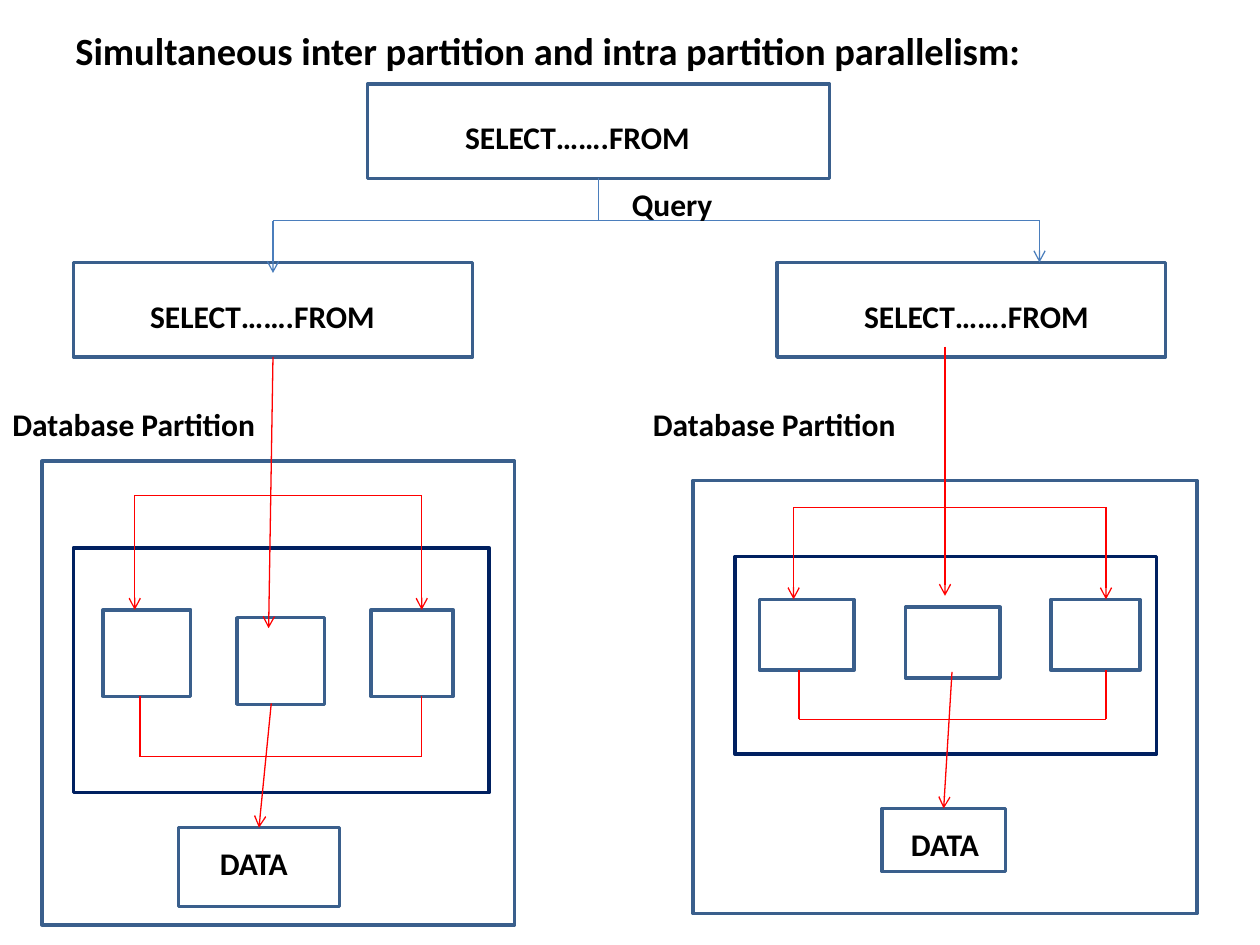
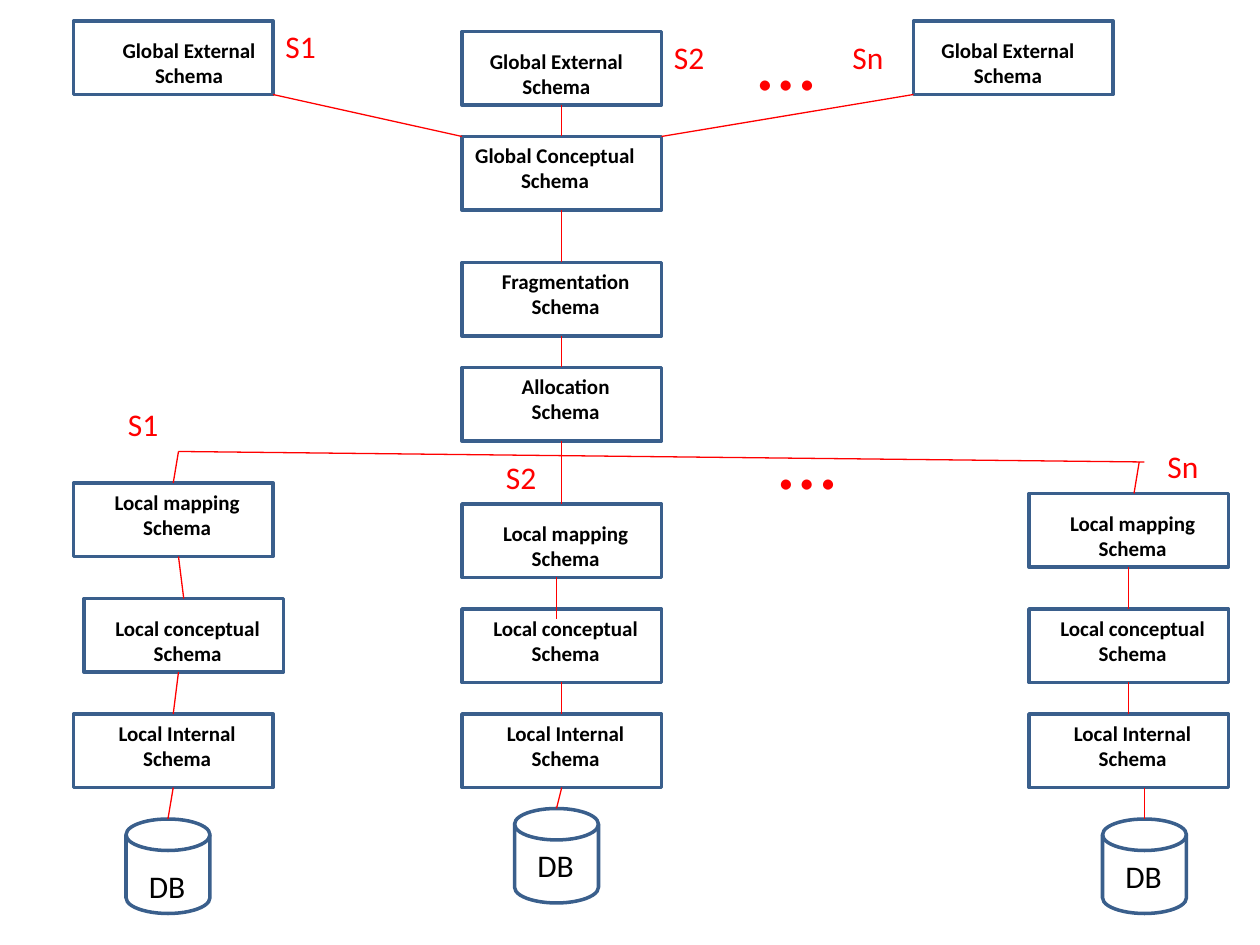
from dataclasses import dataclass

from lxml import etree
from pptx import Presentation
from pptx.dml import color as dml
from pptx.enum import shapes, text
from pptx.oxml import ns
from pptx.util import Pt

COLORS = {
    "outline": "3A5F8C",
    "engine": "002060",
    "query": "4B7EBC",
    "flow": "FF0000",
    "ink": "000000",
}
FONT = "Calibri"
TOP, BOTTOM = 0, 2
INSET_X, INSET_Y = 7.2, 3.6
SCHEMA_WIDTH, SCHEMA_HEIGHT = 114, 42


@dataclass
class Partition:
    caption: tuple
    frame: tuple
    engine: tuple
    workers: tuple
    worker_top: float
    worker_height: float
    bus: tuple
    bus_top: float
    return_top: float
    feed: tuple
    output: tuple
    data: tuple
    data_text: tuple


def rgb(name):
    return dml.RGBColor.from_string(COLORS[name])


def write(frame, caption, size, bold, color, align):
    frame.word_wrap = True
    frame.vertical_anchor = text.MSO_ANCHOR.TOP
    frame.text = caption
    for para in frame.paragraphs:
        para.alignment = align
        for span in para.runs:
            span.font.name = FONT
            span.font.size = Pt(size)
            span.font.bold = bold
            span.font.color.rgb = rgb(color)


def add_label(page, caption, left, top, width=72, height=29,
              size=18, bold=False, color="ink"):
    box = page.shapes.add_textbox(Pt(left), Pt(top), Pt(width), Pt(height))
    write(box.text_frame, caption, size, bold, color, text.PP_ALIGN.LEFT)


def add_box(page, left, top, width, height, color="outline",
            kind=shapes.MSO_SHAPE.RECTANGLE):
    box = page.shapes.add_shape(kind, Pt(left), Pt(top), Pt(width), Pt(height))
    box.shadow.inherit = False
    box.fill.background()
    box.line.color.rgb = rgb(color)
    box.line.width = Pt(2)
    return box


def add_text_box(page, bounds, caption, shift, drop, text_width, size=18):
    box = add_box(page, *bounds)
    frame = box.text_frame
    frame.margin_left = Pt(shift + INSET_X)
    frame.margin_right = Pt(bounds[2] - shift - text_width + INSET_X)
    frame.margin_top = Pt(drop + INSET_Y)
    frame.margin_bottom = 0
    write(frame, caption, size, True, "ink", text.PP_ALIGN.CENTER)
    return box


def add_line(page, start, end, color="flow", arrow=False):
    joined = [not isinstance(point[0], (int, float)) for point in (start, end)]
    x1, y1 = (0, 0) if joined[0] else start
    x2, y2 = (0, 0) if joined[1] else end
    line = page.shapes.add_connector(
        shapes.MSO_CONNECTOR.STRAIGHT, Pt(x1), Pt(y1), Pt(x2), Pt(y2))
    if joined[0]:
        line.begin_connect(*start)
    if joined[1]:
        line.end_connect(*end)
    line.line.color.rgb = rgb(color)
    line.line.width = Pt(0.75)
    if arrow:
        stroke = line.line._get_or_add_ln()
        etree.SubElement(stroke, ns.qn("a:tailEnd"), type="arrow")
    etree.SubElement(line._element.spPr, ns.qn("a:effectLst"))


def add_select(page, left, top, width, shift):
    bounds = (left, top, width, 54)
    return add_text_box(page, bounds, "SELECT…….FROM", shift, 16, 180)


def add_partition(page, part):
    add_label(page, "Database Partition", *part.caption, width=180, bold=True)
    add_box(page, *part.frame)
    add_box(page, *part.engine, color="engine")
    for number, (left, width) in enumerate(part.workers):
        drop = 4.5 if number == 1 else 0
        add_box(page, left, part.worker_top + drop, width, part.worker_height)
    data = add_text_box(page, part.data, "DATA", *part.data_text)

    left, right = part.bus
    add_line(page, (left, part.bus_top), (right, part.bus_top))
    for x in part.bus:
        add_line(page, (x, part.bus_top), (x, part.worker_top), arrow=True)
    worker_bottom = part.worker_top + part.worker_height
    add_line(page, (left + 3, part.return_top), (right, part.return_top))
    for x in (left + 3, right):
        add_line(page, (x, worker_bottom), (x, part.return_top))
    add_line(page, *part.feed, arrow=True)
    add_line(page, part.output, (data, TOP), arrow=True)


def add_schema(page, caption, left, top, shift=6, drop=0, text_width=106.5):
    bounds = (left, top, SCHEMA_WIDTH, SCHEMA_HEIGHT)
    return add_text_box(page, bounds, caption, shift, drop, text_width, 12)


def add_database(page, left, top, drop):
    add_box(page, left, top, 48, 54,
            kind=shapes.MSO_SHAPE.FLOWCHART_MAGNETIC_DISK)
    add_label(page, "DB", left + 6, top + drop)


def build_parallelism(page):
    add_label(page, "Simultaneous inter partition and intra partition parallelism:",
              36, 12, 648, 34, size=22, bold=True)
    query = add_select(page, 210, 48, 264, 30)
    left_select = add_select(page, 42, 150, 228, 18)
    add_select(page, 444, 150, 222, 24)

    add_line(page, (query, BOTTOM), (342, 126), "query")
    add_line(page, (156, 126), (594, 126), "query")
    add_line(page, (156, 126), (156, 156), "query", arrow=True)
    add_line(page, (594, 126), (594, 150), "query", arrow=True)
    add_label(page, "Query", 354, 102, bold=True)

    add_partition(page, Partition(
        caption=(0, 228),
        frame=(24, 263.5, 270, 265),
        engine=(42, 313, 237.5, 140),
        workers=((59, 50), (135.5, 50), (212, 47)),
        worker_top=348.5, worker_height=49.5,
        bus=(77, 241), bus_top=283, return_top=432.5,
        feed=((left_select, BOTTOM), (153.5, 359)),
        output=(155, 402),
        data=(102, 473, 92, 45), data_text=(6, 6, 74)))
    add_partition(page, Partition(
        caption=(366, 228),
        frame=(396, 274.5, 288, 247.5),
        engine=(420, 318, 241, 113),
        workers=((434, 54), (517.5, 54), (600.5, 51)),
        worker_top=342.5, worker_height=40.5,
        bus=(453.5, 632), bus_top=290, return_top=411,
        feed=((540, 198), (540, 340.5)),
        output=(544, 384),
        data=(504, 462, 70.5, 36), data_text=(0, 6, 72)))


def build_schemas(page):
    external = "Global External Schema"
    add_schema(page, external, 42, 12, 18, 6, 96)
    middle_external = add_schema(page, external, 264, 18, 6, 6, 96)
    add_schema(page, external, 522, 12, 6, 6, 96)

    conceptual = add_schema(page, "Global Conceptual\nSchema", 264, 78, shift=0)
    fragmentation = add_schema(page, "Fragmentation\nSchema", 264, 150)
    allocation = add_schema(page, "Allocation\nSchema", 264, 210)

    mapping, local, internal = [
        [add_schema(page, f"{name}\nSchema", left, top, drop=drop)
         for left, top, drop in places]
        for name, places in (
            ("Local mapping", ((42, 276, 0), (264, 288, 6), (588, 282, 6))),
            ("Local conceptual", ((48, 342, 6), (264, 348, 0), (588, 348, 0))),
            ("Local Internal", ((42, 408, 0), (264, 408, 0), (588, 408, 0))),
        )]
    for left, top, drop in ((72, 468, 24), (294, 462, 18), (630, 468, 18)):
        add_database(page, left, top, drop)

    for upper, lower in (
        (middle_external, conceptual), (conceptual, fragmentation),
        (fragmentation, allocation), (allocation, mapping[1]),
        (local[1], internal[1]), (mapping[2], local[2]), (local[2], internal[2]),
    ):
        add_line(page, (upper, BOTTOM), (lower, TOP))
    for start, end in (
        ((156, 54), (264, 78)),
        ((522, 54), (378, 78)),
        ((102, 258), (654, 264)),
        ((mapping[0], TOP), (102, 258)),
        ((648, 282), (651, 264)),
        ((102, 318), (local[0], TOP)),
        ((102, 384), (internal[0], TOP)),
        ((internal[0], BOTTOM), (96, 468)),
        ((318, 330), (318, 354)),
        ((internal[1], BOTTOM), (318, 462)),
        ((654, 450), (654, 468)),
    ):
        add_line(page, start, end)

    for site, left, top in (
        ("S1", 156, 12), ("S2", 378, 18), ("Sn", 480, 18),
        ("S1", 66, 228), ("S2", 282, 258), ("Sn", 660, 252),
    ):
        add_label(page, site, left, top, width=48, color="flow")
    for left, top in ((426, 0), (438, 228)):
        add_label(page, "…", left, top, height=66, size=48, color="flow")


def main():
    deck = Presentation()
    deck.slide_width, deck.slide_height = Pt(720), Pt(540)
    blank = deck.slide_layouts[6]
    for build in (build_parallelism, build_schemas):
        build(deck.slides.add_slide(blank))
    deck.save("out.pptx")


if __name__ == "__main__":
    main()
